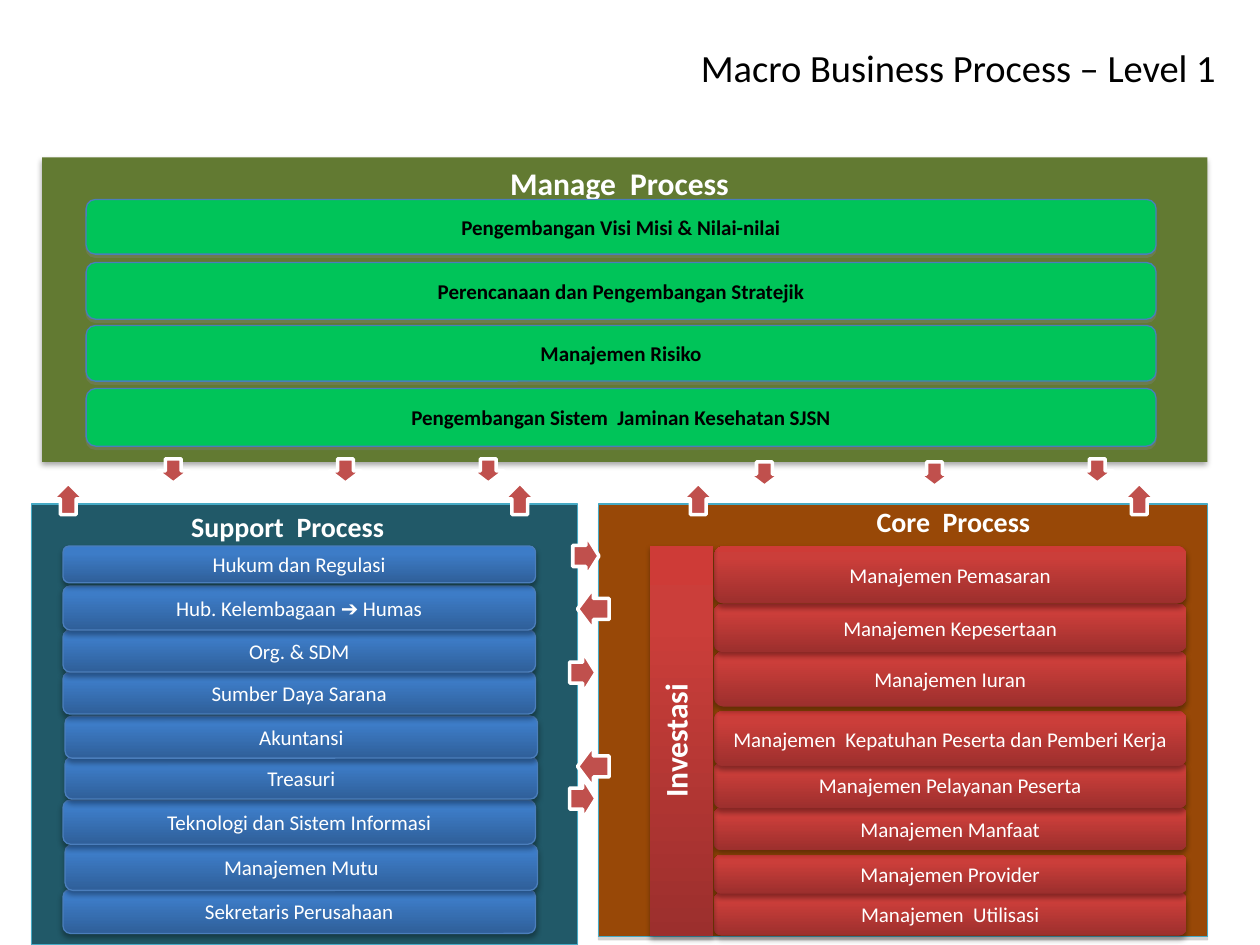
from copy import deepcopy
from dataclasses import dataclass

from lxml.etree import SubElement as Sub
from pptx import Presentation
from pptx.dml.color import RGBColor as Rgb
from pptx.enum.shapes import MSO_SHAPE as Kind
from pptx.enum.text import MSO_ANCHOR as Anchor, PP_ALIGN as Align
from pptx.oxml.ns import qn
from pptx.util import Inches, Pt

COLS, ROWS = 120, 90
WIDE, HIGH = Inches(10), Inches(7.5)


@dataclass(frozen=True)
class Theme:
    font: str = "Calibri"
    white: str = "FFFFFF"
    black: str = "000000"
    teal: str = "215968"
    brown: str = "984807"
    olive: str = "627A32"
    green: str = "00C459"
    arrow: str = "C0504D"
    edge: str = "46AAC5"
    rim: str = "4A7EBB"
    trim: str = "4B7EBC"
    blue: tuple = ("2F5F99", "3D7CC7", "3A7CCB")
    red: tuple = ("9C2F2D", "CB3E3A", "CE3B37")
    stops: tuple = (0, 0.8, 1)
    soft: tuple = ("808080", 0)
    deep: tuple = ("000000", 3.1)
    thin: float = 0.75
    thick: float = 2
    body: int = 12
    head: int = 16
    large: int = 18
    title: int = 22


T = Theme()

MANAGE = [
    ("Pengembangan Visi Misi & Nilai-nilai", 19, 5.2),
    ("Perencanaan dan Pengembangan Stratejik", 25, 5.4),
    ("Manajemen Risiko", 31, 5.3),
    ("Pengembangan Sistem  Jaminan Kesehatan SJSN", 37, 5.5),
]
SUPPORT = [
    ("Hukum dan Regulasi", 52, 3.5),
    ("Hub. Kelembagaan ➔ Humas", 55.8, 4.2),
    ("Org. & SDM", 60, 4),
    ("Sumber Daya Sarana", 64, 4),
    ("Akuntansi", 68.2, 4, 0.2),
    ("Treasuri", 72.1, 4, 0.2),
    ("Teknologi dan Sistem Informasi", 76.2, 4.2),
    ("Manajemen Mutu", 80.4, 4.4, 0.2),
    ("Sekretaris Perusahaan", 84.7, 4.2),
]
CORE = [
    ("Manajemen Pemasaran", 52, 5.5),
    ("Manajemen Kepesertaan", 57.5, 4.6),
    ("Manajemen Iuran", 62, 5.3),
    ("Manajemen  Kepatuhan Peserta dan Pemberi Kerja", 67.7, 5.3),
    ("Manajemen Pelayanan Peserta", 72.6, 4.4),
    ("Manajemen Manfaat", 76.9, 4.1),
    ("Manajemen Provider", 81.4, 3.7),
    ("Manajemen  Utilisasi", 85, 4.1),
]
ARROWS = [
    (0, 3, 2.3, [(15, 43.7), (31.4, 43.7), (45, 43.7),
                 (71.3, 44), (87.5, 44), (103, 43.7)]),
    (180, 3, 3, [(5, 46), (48, 46), (65, 46), (107, 46)]),
    (270, 4, 2.5, [(53.8, 51.7), (53.5, 62.8), (53.5, 74.8)]),
    (90, 4, 3, [(54.5, 56.5), (54.5, 71.5)]),
]


def place(x, y, w, h):
    return (int(x * WIDE / COLS), int(y * HIGH / ROWS),
            int(w * WIDE / COLS), int(h * HIGH / ROWS))


def color(hue):
    return Rgb.from_string(hue)


def blend(shape, hues):
    fill = shape.fill
    fill.gradient()
    fill.gradient_angle = 90
    stops = shape._element.spPr.find(qn("a:gradFill")).find(qn("a:gsLst"))
    stops.append(deepcopy(stops[0]))
    for stop, hue, pos in zip(fill.gradient_stops, hues, T.stops):
        stop.color.rgb = color(hue)
        stop.position = pos


def shade(shape, look):
    hue, blur = look
    list_ = shape._element.spPr.find(qn("a:effectLst"))
    drop = Sub(list_, qn("a:outerShdw"), blurRad=str(Pt(blur)),
               dist=str(Pt(1.8)), dir="5400000", rotWithShape="0")
    tint = Sub(drop, qn("a:srgbClr"), val=hue)
    Sub(tint, qn("a:alpha"), val="35000")


def block(slide, kind, box, fill, line=None, width=T.thin, look=None):
    shape = slide.shapes.add_shape(kind, *place(*box))
    shape.shadow.inherit = False
    if isinstance(fill, tuple):
        blend(shape, fill)
    else:
        shape.fill.solid()
        shape.fill.fore_color.rgb = color(fill)
    if line:
        shape.line.color.rgb = color(line)
        shape.line.width = Pt(width)
    else:
        shape.line.fill.background()
    if look:
        shade(shape, look)
    return shape


def write(shape, text, size, hue=T.white, bold=False,
          align=Align.CENTER, anchor=Anchor.MIDDLE):
    frame = shape.text_frame
    frame.word_wrap = True
    frame.vertical_anchor = anchor
    para = frame.paragraphs[0]
    para.text = text
    para.alignment = align
    font = para.font
    font.name, font.size, font.bold = T.font, Pt(size), bold
    font.color.rgb = color(hue)


def label(slide, box, text, size, **style):
    shape = slide.shapes.add_textbox(*place(*box))
    write(shape, text, size, anchor=Anchor.TOP, **style)


def stack(slide, rows, x, w, fill, line, look, **style):
    for text, y, h, *shift in reversed(rows):
        box = (x + sum(shift), y, w, h)
        bar = block(slide, Kind.ROUNDED_RECTANGLE, box, fill, line, look=look)
        write(bar, text, T.body, **style)


def pillar(slide, box, text):
    shape = block(slide, Kind.RECTANGLE, box, T.red, look=T.deep)
    write(shape, text, T.large, bold=True, anchor=Anchor.TOP)
    shape.text_frame._txBody.bodyPr.set("vert", "vert270")


def point(slide, turn, w, h, spots):
    for x, y in spots:
        arrow = block(slide, Kind.DOWN_ARROW, (x, y, w, h),
                      T.arrow, T.white, T.thick)
        arrow.rotation = turn


def main():
    deck = Presentation()
    deck.slide_width, deck.slide_height = WIDE, HIGH
    slide = deck.slides.add_slide(deck.slide_layouts[6])
    label(slide, (27, 3.6, 90, 6.4), "Macro Business Process – Level 1",
          T.title, hue=T.black, align=Align.RIGHT)

    rect = Kind.RECTANGLE
    block(slide, rect, (3, 48, 52, 42), T.teal, T.edge, look=T.soft)
    block(slide, rect, (57, 48, 58, 41.2), T.brown, T.edge, look=T.soft)
    block(slide, rect, (4, 15, 111, 29), T.olive, look=T.deep)
    label(slide, (10.9, 47.9, 33, 4.4), "Support  Process", T.head, bold=True)
    label(slide, (74.3, 47.5, 33, 4.4), "Core  Process", T.head, bold=True)
    label(slide, (42.5, 15, 33, 4.8), "Manage  Process", T.large, bold=True)

    stack(slide, MANAGE, 8.2, 101.9, T.green, T.rim, T.soft,
          hue=T.black, bold=True)
    stack(slide, SUPPORT, 6, 45, T.blue, T.trim, T.deep)
    stack(slide, CORE, 68, 45, T.red, None, T.deep)
    pillar(slide, (61.9, 52, 6, 37.1), "Investasi")
    for group in ARROWS:
        point(slide, *group)
    deck.save("out.pptx")


if __name__ == "__main__":
    main()
